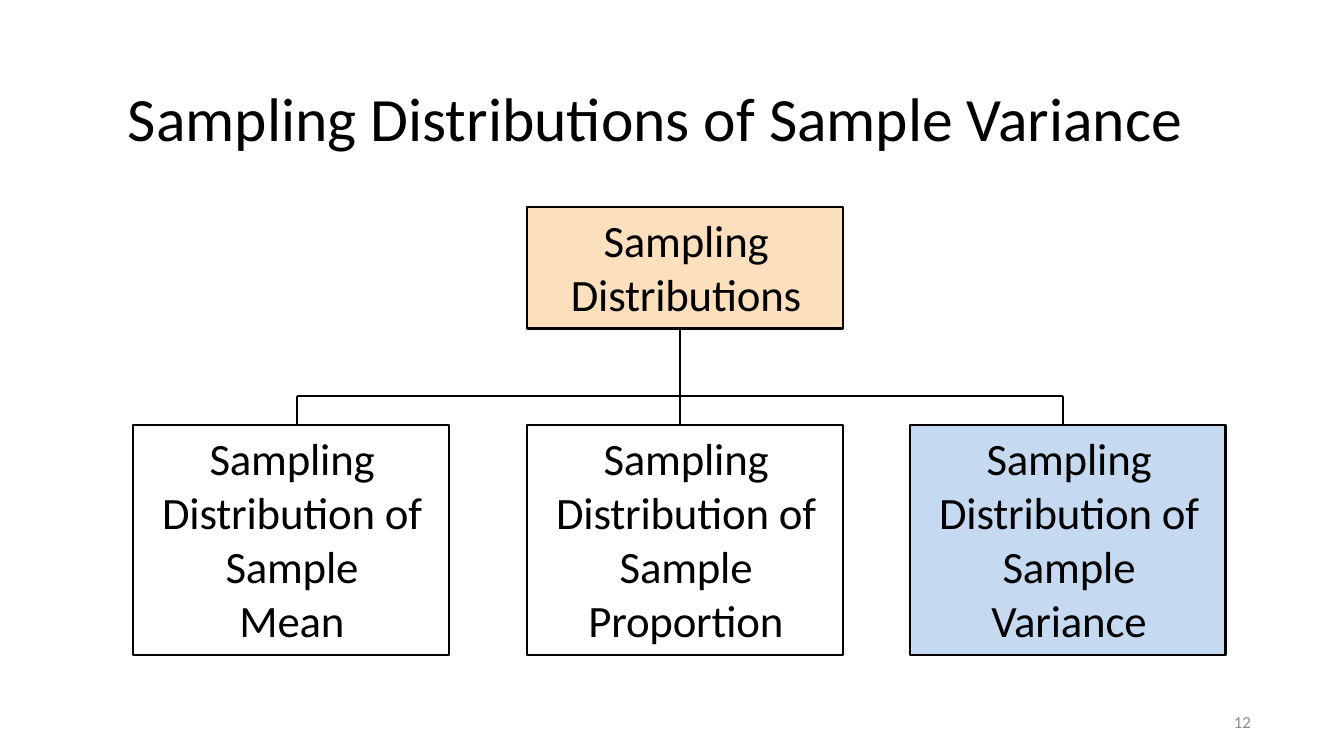
from pptx import Presentation
from pptx.dml.color import RGBColor
from pptx.enum.shapes import MSO_CONNECTOR, MSO_SHAPE
from pptx.enum.text import MSO_ANCHOR, PP_ALIGN
from pptx.oxml.ns import qn
from pptx.util import Pt
from lxml.etree import SubElement

BLACK = RGBColor(0x00, 0x00, 0x00)
WHITE = RGBColor(0xFF, 0xFF, 0xFF)
GREY = RGBColor(0x8C, 0x8C, 0x8C)
PEACH = RGBColor(0xFC, 0xDF, 0xBC)
BLUE = RGBColor(0xC5, 0xD9, 0xF0)

# Content: each text is a list of paragraphs, each paragraph a list of runs
TITLE = [["Sampling Distributions of Sample ", "Variance"]]
NUMBER = [["12"]]
ROOT = [["Sampling Distributions"]]
LEAD = "Sampling Distribution of "
LEAVES = [
    (133, WHITE, [[LEAD, "Sample"], ["Mean"]]),
    (527, WHITE, [[LEAD, "Sample Proportion"]]),
    (910, BLUE, [[LEAD, "Sample Variance"]]),
]

# Layout in px
WIDE, HIGH = 1344, 756
BOX_W, ROOT_H, LEAF_H = 316, 122, 230
ROOT_X, ROOT_Y, LEAF_Y = 527, 207, 425
BUS_Y, TRUNK_X, STEP = 396, 680, 383


def px(n):
    return round(n * 914400 / 134.4)


def write(shape, paras, size, color, align, anchor, inset=(0, 0, 0, 0), track=0):
    frame = shape.text_frame
    frame.word_wrap = True
    frame.vertical_anchor = anchor
    (frame.margin_left, frame.margin_top,
     frame.margin_right, frame.margin_bottom) = map(px, inset)
    for i, runs in enumerate(paras):
        para = frame.add_paragraph() if i else frame.paragraphs[0]
        para.alignment = align
        for text in runs:
            run = para.add_run()
            run.text = text
            run.font.name = "Calibri"
            run.font.size = Pt(size)
            run.font.color.rgb = color
            if track:
                run.font._element.set("spc", str(track))


def add_box(x, y, h, fill, paras):
    box = slide.shapes.add_shape(
        MSO_SHAPE.RECTANGLE, px(x), px(y), px(BOX_W), px(h))
    box.shadow.inherit = False
    box.fill.solid()
    box.fill.fore_color.rgb = fill
    box.line.color.rgb = BLACK
    box.line.width = Pt(1.5)
    write(box, paras, 24, BLACK, PP_ALIGN.CENTER, MSO_ANCHOR.TOP,
          (26, 6, 24, 0), -10)


def add_line(x1, y1, x2, y2):
    line = slide.shapes.add_connector(
        MSO_CONNECTOR.STRAIGHT, px(x1), px(y1), px(x2), px(y2))
    line.line.color.rgb = BLACK
    line.line.width = Pt(1.5)
    SubElement(line._element.spPr, qn("a:effectLst"))


def add_text(x, y, w, h, *style):
    write(slide.shapes.add_textbox(px(x), px(y), px(w), px(h)), *style)


deck = Presentation()
deck.slide_width, deck.slide_height = px(WIDE), px(HIGH)
slide = deck.slides.add_slide(deck.slide_layouts[6])

# Title and slide number
add_text(128, 44, 1124, 146, TITLE, 33, BLACK, PP_ALIGN.LEFT, MSO_ANCHOR.MIDDLE)
add_text(949, 702, 302, 40, NUMBER, 9, GREY, PP_ALIGN.RIGHT, MSO_ANCHOR.MIDDLE)

# Tree lines: trunk, bus and one drop per leaf
add_line(TRUNK_X, ROOT_Y + ROOT_H, TRUNK_X, BUS_Y)
add_line(TRUNK_X - STEP, BUS_Y, TRUNK_X + STEP, BUS_Y)
for i in (-1, 0, 1):
    drop = TRUNK_X + i * STEP
    add_line(drop, BUS_Y, drop, LEAF_Y)

# Boxes
add_box(ROOT_X, ROOT_Y, ROOT_H, PEACH, ROOT)
for x, fill, paras in LEAVES:
    add_box(x, LEAF_Y, LEAF_H, fill, paras)

deck.save("out.pptx")
